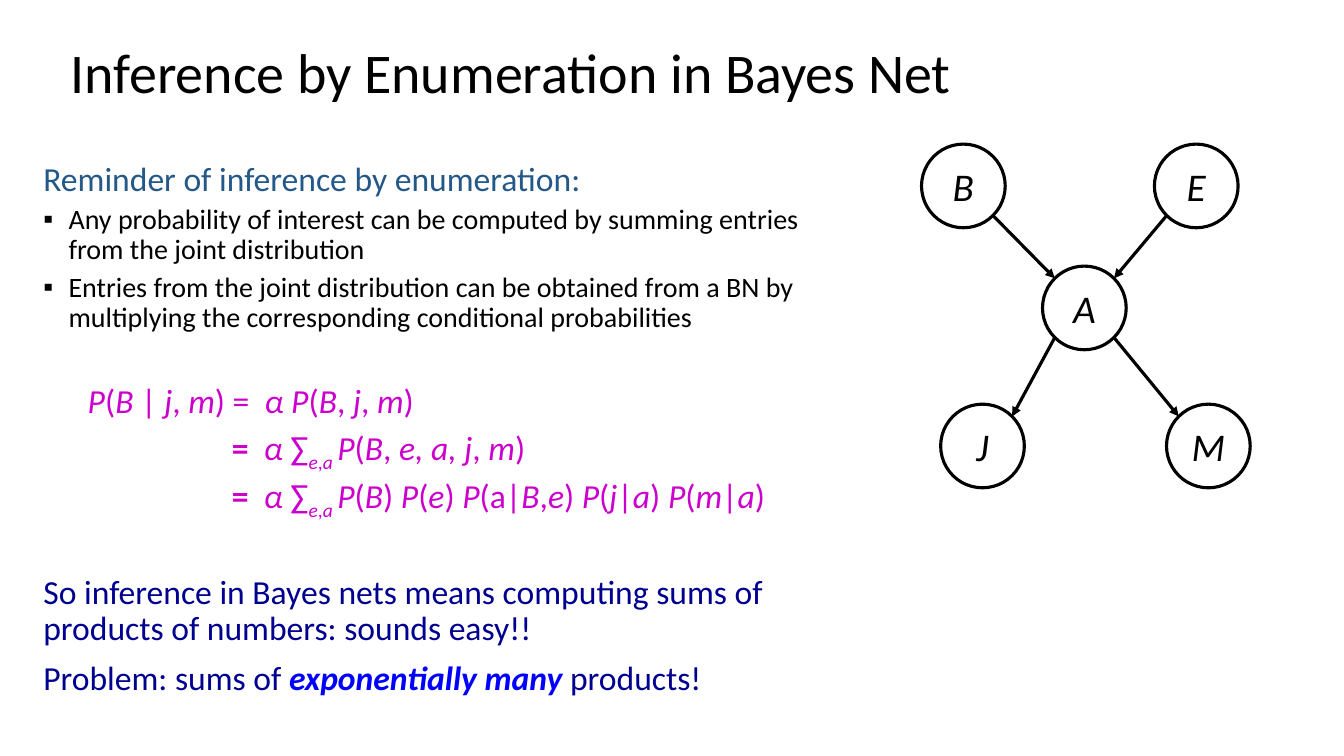
"""Build the slide on inference by enumeration in a Bayes net."""
from lxml import etree
from pptx import Presentation
from pptx.dml.color import RGBColor
from pptx.enum import shapes, text
from pptx.oxml import ns
from pptx.util import Inches, Pt

COLOURS = {"black": "000000", "white": "FFFFFF", "heading": "235888",
           "formula": "CC00CC", "conclusion": "000090", "accent": "0000FF"}
FONT = "Calibri"
TITLE = "Inference by Enumeration in Bayes Net"
MARKS = {"*": "italic", "^": "bold", "~": "subscript", "#": "accent"}

STYLES = {
    "heading": {"size": 24, "colour": "heading", "margin": 0, "before": 0},
    "bullet": {"size": 20, "colour": "black", "margin": 0.25, "before": 5, "bullet": "▪"},
    "formula": {"size": 24, "colour": "formula", "margin": 0.44, "before": 36.4},
    "step": {"size": 24, "colour": "formula", "margin": 1.87, "before": 5},
    "conclusion": {"size": 24, "colour": "conclusion", "margin": 0, "before": 41.4},
    "problem": {"size": 24, "colour": "conclusion", "margin": 0, "before": 10},
}
BODY = [
    ("heading", "Reminder of inference by enumeration:"),
    ("bullet", "Any probability of interest can be computed by summing entries "
               "from the joint distribution"),
    ("bullet", "Entries from the joint distribution can be obtained from a BN by "
               "multiplying the corresponding conditional probabilities"),
    ("formula", "*P*(*B* | *j*, *m*) =  *α P*(*B*, *j*, *m*)"),
    ("step", "^=^  *α *∑~*e*,*a *~*P*(*B*, *e, a, j*, *m*)"),
    ("step", "^=^  *α *∑~*e*,*a *~*P*(*B*) *P*(*e*) *P*(a|*B*,*e*) "
             "*P*(*j*|*a*) *P*(*m*|*a*)"),
    ("conclusion", "So inference in Bayes nets means computing sums of products "
                   "of numbers: sounds easy!!"),
    ("problem", "Problem: sums of #^*exponentially many*^# products!"),
]

DIAMETER = 0.83
NODES = {"B": (9.14, 1.43), "E": (11.45, 1.43), "A": (10.34, 2.64),
         "M": (11.57, 4.01), "J": (9.33, 4.01)}
EDGES = [("A", "M"), ("A", "J"), ("E", "A"), ("B", "A")]


def rgb(name):
    return RGBColor.from_string(COLOURS[name])


def add_run(paragraph, content, size, colour, **formats):
    run = paragraph.add_run()
    run.text = content
    run.font.color.rgb = rgb(colour)
    formats = {"name": FONT, "size": Pt(size), **formats}
    for attribute, value in formats.items():
        setattr(run.font, attribute, value)
    return run


def split_marks(content):
    """Yield each stretch of text with the set of formats switched on for it."""
    active, stretch = set(), ""
    for character in content:
        if character in MARKS:
            if stretch:
                yield stretch, set(active)
            active ^= {MARKS[character]}
            stretch = ""
        else:
            stretch += character
    if stretch:
        yield stretch, active


def place(shape, left, top, width, height):
    box = {"left": left, "top": top, "width": width, "height": height}
    for attribute, value in box.items():
        setattr(shape, attribute, Inches(value))


def fill_paragraph(paragraph, style, content):
    paragraph.line_spacing = 0.9
    paragraph.space_before = Pt(style["before"])
    paragraph.space_after = Pt(0)
    properties = paragraph._p.get_or_add_pPr()
    properties.set("marL", str(Inches(style["margin"])))
    if "bullet" in style:
        properties.set("indent", str(-Inches(style["margin"])))
        etree.SubElement(properties, ns.qn("a:buChar")).set("char", style["bullet"])
    else:
        properties.set("indent", "0")
        etree.SubElement(properties, ns.qn("a:buNone"))
    for stretch, active in split_marks(content):
        colour = "accent" if "accent" in active else style["colour"]
        run = add_run(paragraph, stretch, style["size"], colour,
                      italic="italic" in active, bold="bold" in active)
        if "subscript" in active:
            run.font._element.set("baseline", "-25000")


def add_node(slide, label, left, top):
    node = slide.shapes.add_shape(shapes.MSO_SHAPE.OVAL, Inches(left), Inches(top),
                                  Inches(DIAMETER), Inches(DIAMETER))
    node.shadow.inherit = False
    node.fill.solid()
    node.fill.fore_color.rgb = rgb("white")
    node.line.color.rgb = rgb("black")
    node.line.width = Pt(2.25)
    frame = node.text_frame
    frame.word_wrap = False
    frame.vertical_anchor = text.MSO_ANCHOR.MIDDLE
    paragraph = frame.paragraphs[0]
    paragraph.alignment = text.PP_ALIGN.CENTER
    add_run(paragraph, label, 28, "black", italic=True)


def add_edge(slide, start, end):
    """Draw an arrow between the facing diagonal points of two nodes."""
    reach = DIAMETER / 2 * 0.5 ** 0.5
    begin_point, end_point = [], []
    for first, second in zip(NODES[start], NODES[end]):
        step = reach if second > first else -reach
        begin_point.append(Inches(first + DIAMETER / 2 + step))
        end_point.append(Inches(second + DIAMETER / 2 - step))
    arrow = slide.shapes.add_connector(shapes.MSO_CONNECTOR.STRAIGHT,
                                       *begin_point, *end_point)
    arrow.line.color.rgb = rgb("black")
    arrow.line.width = Pt(2.25)
    etree.SubElement(arrow.line._get_or_add_ln(), ns.qn("a:tailEnd")).set("type", "triangle")
    etree.SubElement(arrow._element.spPr, ns.qn("a:effectLst"))


def main():
    presentation = Presentation()
    presentation.slide_width, presentation.slide_height = Inches(13.33), Inches(7.5)
    slide = presentation.slides.add_slide(presentation.slide_layouts[1])

    title, body = slide.placeholders
    place(title, 0.6, 0.4, 11.5, 0.69)
    title.text_frame.auto_size = text.MSO_AUTO_SIZE.NONE
    title.text_frame.vertical_anchor = text.MSO_ANCHOR.MIDDLE
    heading = title.text_frame.paragraphs[0]
    heading.alignment = text.PP_ALIGN.LEFT
    heading.line_spacing = 0.9
    add_run(heading, TITLE, 40, "black")

    place(body, 0.33, 1.56, 8.08, 5.94)
    frame = body.text_frame
    frame.auto_size = text.MSO_AUTO_SIZE.NONE
    frame.word_wrap = True
    for index, (style, content) in enumerate(BODY):
        paragraph = frame.add_paragraph() if index else frame.paragraphs[0]
        fill_paragraph(paragraph, STYLES[style], content)

    for label, corner in NODES.items():
        add_node(slide, label, *corner)
    for start, end in EDGES:
        add_edge(slide, start, end)
    presentation.save("out.pptx")


if __name__ == "__main__":
    main()
